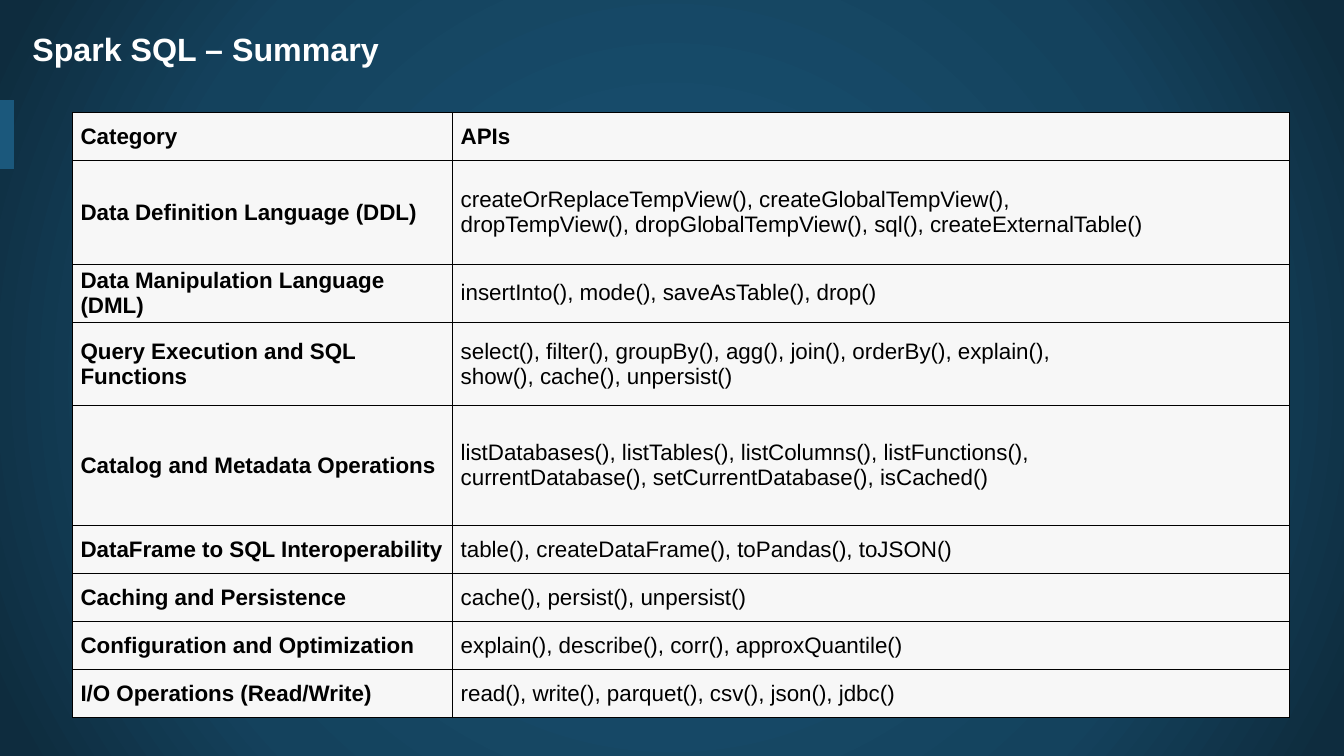
from dataclasses import dataclass

from lxml.etree import SubElement
from pptx import Presentation
from pptx.dml.color import RGBColor
from pptx.enum.shapes import MSO_CONNECTOR as Connector
from pptx.enum.text import MSO_ANCHOR as Anchor, MSO_AUTO_SIZE as AutoSize, PP_ALIGN as Align
from pptx.oxml.ns import qn
from pptx.util import Cm, Pt


@dataclass(frozen=True)
class Theme:
    font: str = "Arial"
    title_size: float = 23
    table_size: float = 16
    title_color: str = "FFFFFF"
    table_color: str = "000000"
    cell_fill: str = "F7F7F7"
    border_color: str = "000000"
    border_width: float = 0.6
    accent_color: str = "1B587C"
    accent_width: float = 10
    glow: tuple = ((0, "184E6E"), (23, "184E6E"), (69, "14425D"), (97, "0E2C3E"))


THEME = Theme()
TITLE = "Spark SQL – Summary"
COLUMN_WIDTHS = (9.58, 21.08)
ROW_HEIGHT = 1.21
TALL_ROWS = {1: 2.62, 3: 2.11, 4: 3.02}
ROWS = (
    ("Category", "APIs"),
    ("Data Definition Language (DDL)",
     "createOrReplaceTempView(), createGlobalTempView(),\n"
     "dropTempView(), dropGlobalTempView(), sql(), createExternalTable()"),
    ("Data Manipulation Language (DML)", "insertInto(), mode(), saveAsTable(), drop()"),
    ("Query Execution and SQL Functions",
     "select(), filter(), groupBy(), agg(), join(), orderBy(), explain(),\n"
     "show(), cache(), unpersist()"),
    ("Catalog and Metadata Operations",
     "listDatabases(), listTables(), listColumns(), listFunctions(),\n"
     "currentDatabase(), setCurrentDatabase(), isCached()"),
    ("DataFrame to SQL Interoperability", "table(), createDataFrame(), toPandas(), toJSON()"),
    ("Caching and Persistence", "cache(), persist(), unpersist()"),
    ("Configuration and Optimization", "explain(), describe(), corr(), approxQuantile()"),
    ("I/O Operations (Read/Write)", "read(), write(), parquet(), csv(), json(), jdbc()"),
)


def apply_format(target, values):
    for name, value in values.items():
        setattr(target, name, value)


def write_text(frame, text, size, color, bold, para_format):
    frame.text = text
    for para in frame.paragraphs:
        apply_format(para, para_format)
        for span in para.runs:
            apply_format(span.font, {"name": THEME.font, "size": Pt(size), "bold": bold})
            span.font.color.rgb = RGBColor.from_string(color)


def add_color(parent, color):
    SubElement(parent, qn("a:srgbClr"), val=color)


def paint_background(page):
    fill = page.background.fill
    fill.gradient()
    gradient = page.element.find(".//" + qn("a:gradFill"))
    for child in list(gradient):
        gradient.remove(child)
    stops = SubElement(gradient, qn("a:gsLst"))
    for percent, color in THEME.glow:
        add_color(SubElement(stops, qn("a:gs"), pos=str(percent * 1000)), color)
    circle = SubElement(gradient, qn("a:path"), path="circle")
    center = {side: "50000" for side in "ltrb"}
    SubElement(circle, qn("a:fillToRect"), **center)


def add_accent(page):
    accent = page.shapes.add_connector(
        Connector.STRAIGHT, Cm(0.18), Cm(4.09), Cm(0.18), Cm(2.69))
    accent.line.width = Pt(THEME.accent_width)
    accent.line.color.rgb = RGBColor.from_string(THEME.accent_color)
    accent.line._get_or_add_ln().set("cap", "sq")
    SubElement(accent.element.spPr, qn("a:effectLst"))


def set_title(page):
    box = page.shapes.title
    apply_format(box, {"left": Cm(0.56), "top": Cm(0.61), "width": Cm(32.72), "height": Cm(2.03)})
    apply_format(box.text_frame, {
        "word_wrap": True, "auto_size": AutoSize.NONE, "vertical_anchor": Anchor.TOP})
    write_text(box.text_frame, TITLE, THEME.title_size, THEME.title_color, True,
               {"alignment": Align.LEFT, "space_after": Pt(10)})


def add_borders(cell):
    properties = cell._tc.get_or_add_tcPr()
    for index, side in enumerate(("lnL", "lnR", "lnT", "lnB")):
        border = properties.makeelement(qn("a:" + side), {"w": str(Pt(THEME.border_width))})
        properties.insert(index, border)
        add_color(SubElement(border, qn("a:solidFill")), THEME.border_color)


def format_cell(cell, text, bold):
    apply_format(cell, {
        "vertical_anchor": Anchor.MIDDLE,
        "margin_left": Cm(0.2), "margin_right": Cm(0.2),
        "margin_top": Cm(0.1), "margin_bottom": Cm(0.1)})
    cell.fill.solid()
    cell.fill.fore_color.rgb = RGBColor.from_string(THEME.cell_fill)
    write_text(cell.text_frame, text, THEME.table_size, THEME.table_color, bold,
               {"alignment": Align.LEFT})
    add_borders(cell)


def add_api_table(page):
    heights = [TALL_ROWS.get(index, ROW_HEIGHT) for index in range(len(ROWS))]
    table = page.shapes.add_table(
        len(ROWS), len(COLUMN_WIDTHS), Cm(1.83), Cm(2.83),
        Cm(sum(COLUMN_WIDTHS)), Cm(sum(heights))).table
    table.horz_banding = False
    for column, width in zip(table.columns, COLUMN_WIDTHS):
        column.width = Cm(width)
    for row_index, (row, height, texts) in enumerate(zip(table.rows, heights, ROWS)):
        row.height = Cm(height)
        for column_index, text in enumerate(texts):
            format_cell(row.cells[column_index], text, row_index == 0 or column_index == 0)


def main():
    deck = Presentation()
    apply_format(deck, {"slide_width": Cm(33.87), "slide_height": Cm(19.05)})
    page = deck.slides.add_slide(deck.slide_layouts.get_by_name("Title Only"))
    paint_background(page)
    add_accent(page)
    set_title(page)
    add_api_table(page)
    deck.save("out.pptx")


if __name__ == "__main__":
    main()
